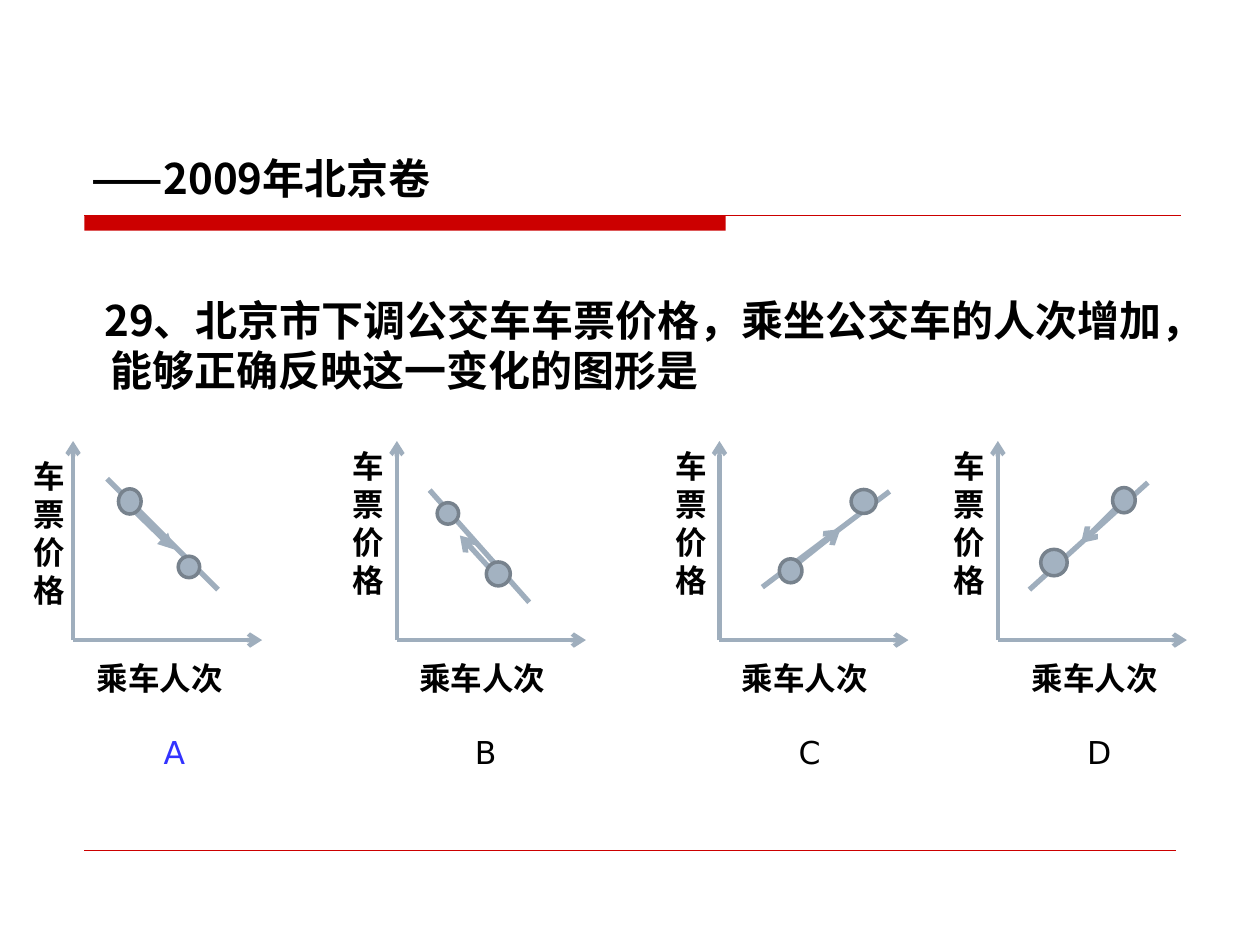
from dataclasses import dataclass

from lxml.etree import SubElement
from pptx import Presentation
from pptx.dml.color import RGBColor
from pptx.enum.shapes import MSO_CONNECTOR, MSO_SHAPE
from pptx.enum.text import MSO_ANCHOR, PP_ALIGN
from pptx.oxml.ns import qn
from pptx.util import Inches, Pt

BLACK = RGBColor(0x00, 0x00, 0x00)
RED = RGBColor(0xCC, 0x00, 0x00)
BLUE = RGBColor(0x33, 0x33, 0xFF)
STEEL = RGBColor(0x9F, 0xAE, 0xBD)
DOT_FILL = RGBColor(0xA3, 0xB2, 0xC1)
DOT_EDGE = RGBColor(0x77, 0x82, 0x8D)

HEADING_FONT = "Noto Sans CJK SC"
LABEL_FONT = "DejaVu Sans"

SLIDE_WIDTH, SLIDE_HEIGHT = Inches(10), Inches(7.5)
COL, ROW = SLIDE_WIDTH / 100, SLIDE_HEIGHT / 75
BASELINE_ROW = 50.8


@dataclass
class Option:
    """One answer graph; points are columns right of and rows above its origin."""

    letter: str
    origin: float
    price_label: tuple
    caption_shift: float
    letter_shift: float
    curve: tuple
    movement: tuple
    dots: tuple
    arrowhead: str = "arrow"
    letter_color: RGBColor = BLACK


OPTIONS = [
    Option("A", 5.8, (-4.1, 35.8), 0.9, 6.2,
           ((2.7, 12.8), (11.5, 4)), ((4.4, 10.7), (8, 7.2)),
           ((4.5, 11, 1.8, 2), (9.2, 5.8, 1.7, 1.7)), "triangle", BLUE),
    Option("B", 31.5, (-4.5, 35), 0.8, 5.2,
           ((10.5, 3), (2.6, 11.9)), ((8.2, 4.8), (5, 8.3)),
           ((8.05, 5.25, 1.9, 1.9), (4.05, 10.05, 1.7, 1.7))),
    Option("C", 57.1, (-4.5, 35), 0.8, 5.3,
           ((3.4, 4.2), (13.5, 11.8)), ((5.7, 5.7), (9.6, 8.8)),
           ((5.65, 5.5, 1.8, 1.9), (11.45, 11, 2, 1.9))),
    Option("D", 79.2, (-4.5, 35), 1.7, 6.1,
           ((11.9, 12.5), (2.5, 4)), ((10.3, 11.4), (6.6, 7.7)),
           ((10, 11.1, 1.8, 2), (4.45, 6.15, 2.1, 2.1))),
]


def place(left, top, width, height):
    """Turn a box in columns and rows into slide lengths."""
    return round(left * COL), round(top * ROW), round(width * COL), round(height * ROW)


def style(paragraph, font, size, color=BLACK, bold=True, spacing=None):
    """Format a whole paragraph."""
    paragraph.line_spacing = spacing
    paragraph.font.name = font
    paragraph.font.size = Pt(size)
    paragraph.font.bold = bold
    paragraph.font.color.rgb = color


def add_text(slide, box, text):
    """Add a wrapping text box and return its paragraph."""
    frame = slide.shapes.add_textbox(*place(*box)).text_frame
    frame.word_wrap = True
    frame.text = text
    return frame.paragraphs[0]


def add_line(slide, start, end, color, weight, arrowhead=None):
    """Draw a straight line between two grid points, with an optional arrowhead."""
    line = slide.shapes.add_connector(
        MSO_CONNECTOR.STRAIGHT,
        round(start[0] * COL), round(start[1] * ROW),
        round(end[0] * COL), round(end[1] * ROW))
    line.line.color.rgb = color
    line.line.width = Pt(weight)
    if arrowhead:
        SubElement(line.line._get_or_add_ln(), qn("a:tailEnd"), type=arrowhead)
    SubElement(line._element.spPr, qn("a:effectLst"))


def add_heading(slide, left, top, width, height):
    """Place the title with the red rule under it."""
    title = slide.shapes.title
    title.left, title.top, title.width, title.height = place(left, top, width, height)
    title.text_frame.text = "——2009年北京卷"
    title.text_frame.vertical_anchor = MSO_ANCHOR.BOTTOM
    heading = title.text_frame.paragraphs[0]
    heading.alignment = PP_ALIGN.LEFT
    style(heading, HEADING_FONT, 24)
    rule_left, rule_top = left + 0.4, top + height + 0.5
    bar = slide.shapes.add_shape(
        MSO_SHAPE.RECTANGLE, *place(rule_left, rule_top, 50.9, 1.2))
    bar.shadow.inherit = False
    bar.fill.solid()
    bar.fill.fore_color.rgb = RED
    bar.line.fill.background()
    add_line(slide, (rule_left, rule_top), (rule_left + 87, rule_top), RED, 0.75)


def add_question(slide, left, top, width, height):
    """Place the question with a slight hanging indent."""
    question = add_text(
        slide, (left, top, width, height),
        "29、北京市下调公交车车票价格，乘坐公交车的人次增加，能够正确反映这一变化的图形是")
    properties = question._p.get_or_add_pPr()
    properties.set("marL", str(Inches(0.51)))
    properties.set("indent", str(Inches(-0.05)))
    style(question, HEADING_FONT, 24, spacing=Pt(28.6))


def add_option(slide, option, base):
    """Draw one answer graph on its origin, with axis labels and letter."""
    def at(point):
        return option.origin + point[0], base - point[1]

    for axis_end in ((0, 15.8), (15, 0)):
        add_line(slide, at((0, 0)), at(axis_end), STEEL, 2.5, "arrow")
    add_line(slide, *map(at, option.movement), STEEL, 3, option.arrowhead)
    add_line(slide, *map(at, option.curve), STEEL, 3)
    for x, y, width, height in option.dots:
        center_x, center_y = at((x, y))
        dot = slide.shapes.add_shape(MSO_SHAPE.OVAL, *place(
            center_x - width / 2, center_y - height / 2, width, height))
        dot.shadow.inherit = False
        dot.fill.solid()
        dot.fill.fore_color.rgb = DOT_FILL
        dot.line.color.rgb = DOT_EDGE
        dot.line.width = Pt(2)

    shift, label_top = option.price_label
    price = add_text(slide, (option.origin + shift, label_top, 2.5, 13), "车票价格")
    riders = add_text(
        slide, (option.origin + option.caption_shift, base + 1, 13.2, 4), "乘车人次")
    for label in (price, riders):
        style(label, LABEL_FONT, 18, spacing=Pt(21.6))
    letter = add_text(
        slide, (option.origin + option.letter_shift, base + 6.9, 4.4, 4), option.letter)
    style(letter, LABEL_FONT, 18, option.letter_color, bold=False)


def main():
    """Build the exam question slide."""
    deck = Presentation()
    deck.slide_width, deck.slide_height = SLIDE_WIDTH, SLIDE_HEIGHT
    slide = deck.slides.add_slide(deck.slide_layouts[5])
    add_heading(slide, 6.3, 3.3, 87.5, 13.3)
    add_question(slide, 2.7, 22.9, 90.8, 9)
    for option in OPTIONS:
        add_option(slide, option, BASELINE_ROW)
    add_line(slide, (6.7, 67.5), (93.3, 67.5), RED, 0.25)
    deck.save("out.pptx")


if __name__ == "__main__":
    main()
